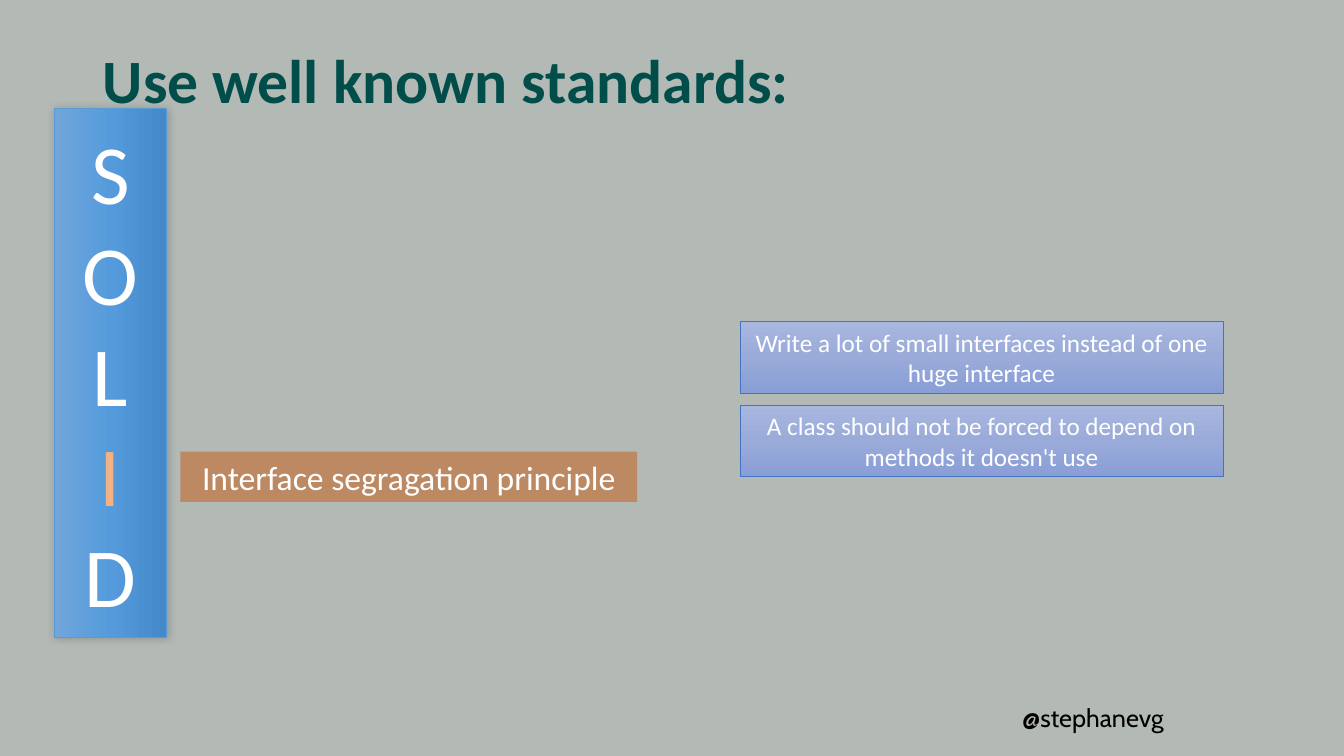
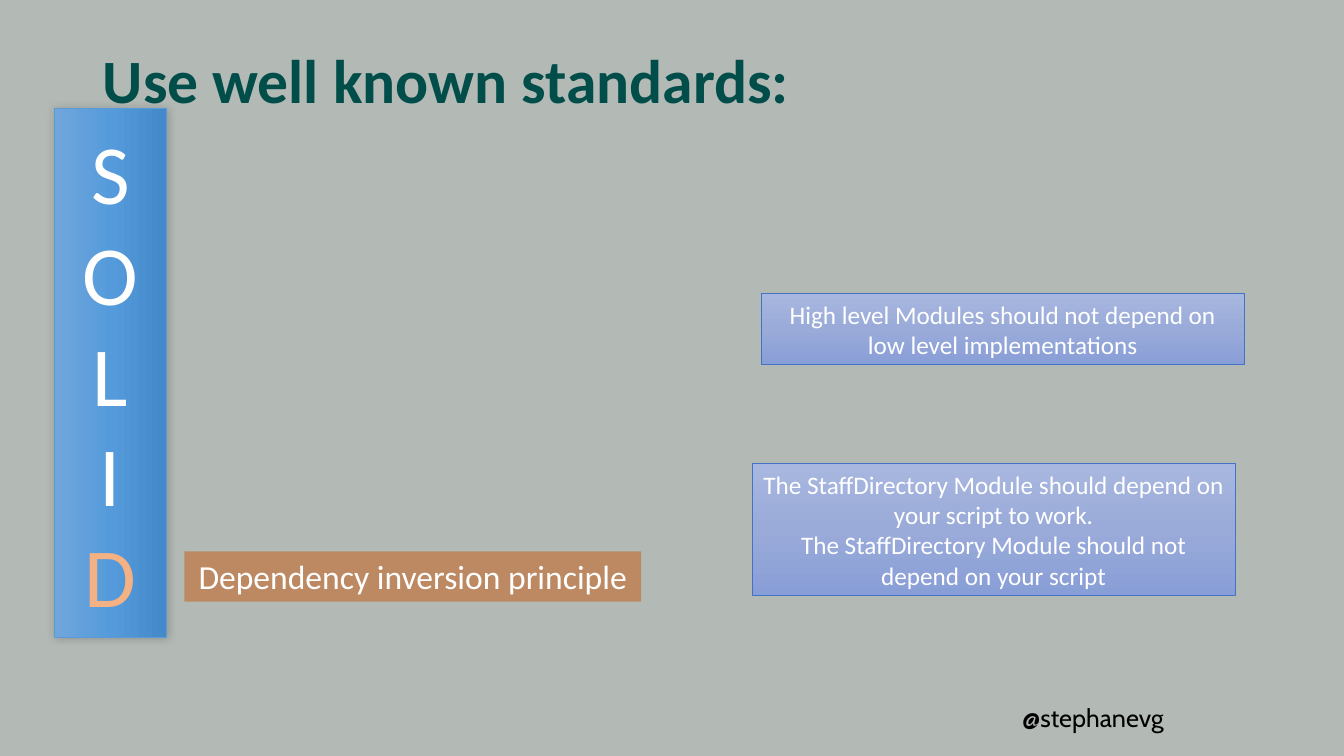
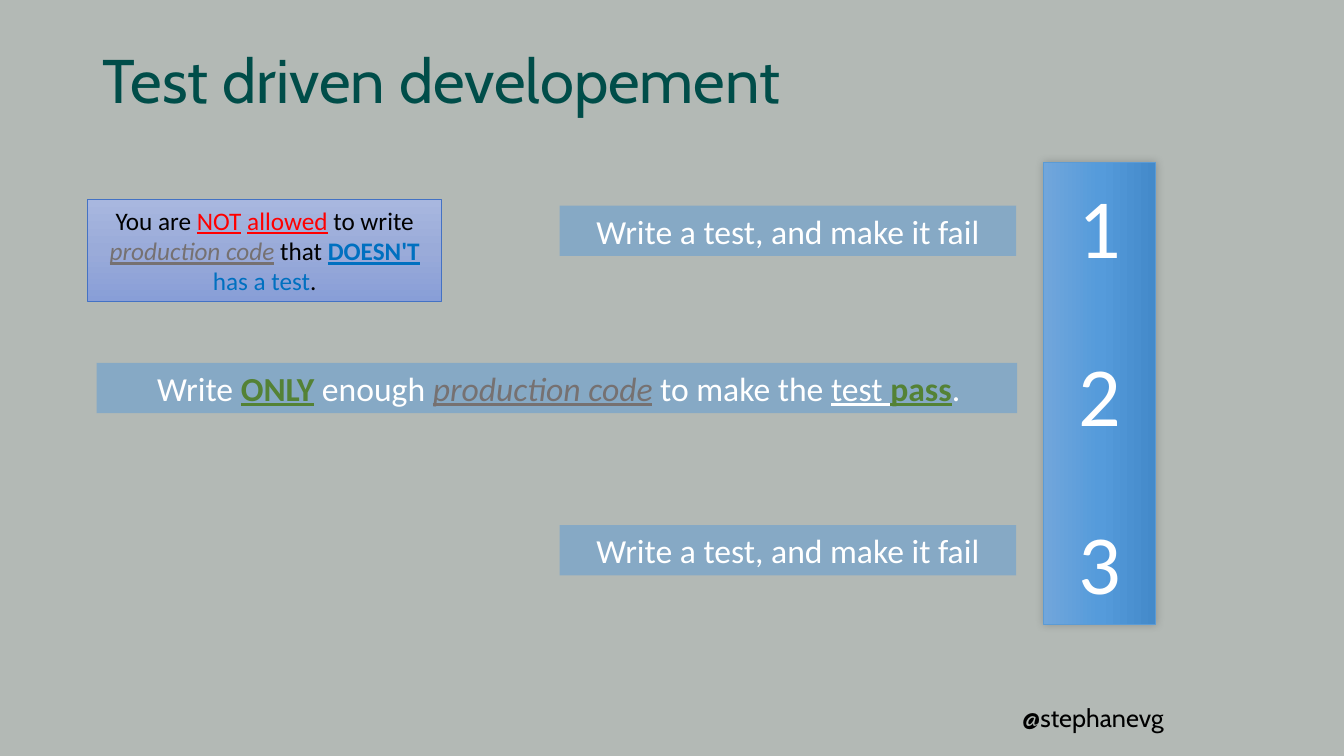
from lxml import etree
from pptx import Presentation
from pptx.dml.color import RGBColor
from pptx.enum.shapes import MSO_SHAPE
from pptx.enum.text import MSO_ANCHOR, PP_ALIGN
from pptx.oxml.ns import qn
from pptx.util import Inches, Pt

RECTANGLE = MSO_SHAPE.RECTANGLE
MIDDLE = MSO_ANCHOR.MIDDLE
LEFT, CENTER = PP_ALIGN.LEFT, PP_ALIGN.CENTER

SAGE = RGBColor(0xB3, 0xB9, 0xB5)
TEAL = RGBColor(0x00, 0x4D, 0x49)
BLACK = RGBColor(0x00, 0x00, 0x00)
WHITE = RGBColor(0xFF, 0xFF, 0xFF)
PEACH = RGBColor(0xF4, 0xB1, 0x83)
RUST = RGBColor(0xC5, 0x5A, 0x11)
SKY = RGBColor(0x5B, 0x9B, 0xD5)
COBALT = RGBColor(0x44, 0x72, 0xC4)
GREEN = RGBColor(0x54, 0x82, 0x35)
GRAY = RGBColor(0x76, 0x71, 0x71)
RED = RGBColor(0xFF, 0x00, 0x00)
BLUE = RGBColor(0x00, 0x70, 0xC0)
COLUMN_STOPS = (RGBColor(0x71, 0xA6, 0xDB), RGBColor(0x55, 0x9B, 0xDB), RGBColor(0x44, 0x8A, 0xCA))
NOTE_STOPS = (RGBColor(0xA8, 0xB7, 0xDF), RGBColor(0x9A, 0xAB, 0xD9), RGBColor(0x88, 0x9E, 0xD7))

BODY_FONT, HEADING_FONT = "Calibri", "Cabin"
TITLE_ONLY = 5
STANDARDS_TITLE = "Use well known standards:"
FAILING_TEST = "Write a test, and make it fail"


def add_text(paragraph, text, size=18, color=WHITE, font=BODY_FONT,
             bold=False, italic=False, underline=False):
    """Append a formatted run to the paragraph."""
    run = paragraph.add_run()
    run.text = text
    run.font.size = Pt(size)
    run.font.name = font
    run.font.color.rgb = color
    run.font.bold = bold
    run.font.italic = italic
    run.font.underline = underline


class Deck:
    """Hold the shared style and the current slide."""

    def __init__(self):
        """Start a wide presentation with the common background."""
        self.presentation = Presentation()
        self.presentation.slide_width = Inches(13.33)
        self.presentation.slide_height = Inches(7.5)
        background = self.presentation.slide_master.background.fill
        background.solid()
        background.fore_color.rgb = SAGE
        self.slide = None

    def new_slide(self, title, font=BODY_FONT, bold=False):
        """Add a slide with its title and the author handle."""
        layout = self.presentation.slide_layouts[TITLE_ONLY]
        self.slide = self.presentation.slides.add_slide(layout)
        heading = self.slide.shapes.title
        heading.left, heading.top = Inches(0.92), Inches(0.4)
        heading.width, heading.height = Inches(11.5), Inches(0.85)
        line = self.fill_frame(heading, [[(title, {"font": font, "bold": bold, "color": TEAL})]],
                               size=44, align=LEFT)
        line.line_spacing = 0.9
        handle = self.slide.shapes.add_textbox(
            Inches(10.04), Inches(6.92), Inches(2.38), Inches(0.4))
        self.fill_frame(handle, [[("@stephanevg", {"font": HEADING_FONT, "color": BLACK})]],
                        align=LEFT)

    def fill_frame(self, shape, lines, size=18, align=CENTER, gap=0):
        """Write lines of (text, format) runs and return the last paragraph."""
        frame = shape.text_frame
        frame.word_wrap = True
        frame.vertical_anchor = MIDDLE
        for index, runs in enumerate(lines):
            paragraph = frame.add_paragraph() if index else frame.paragraphs[0]
            paragraph.alignment = align
            if index and gap:
                paragraph.space_before = Pt(gap)
            for text, style in runs:
                add_text(paragraph, text, size=size, **style)
        return paragraph

    def add_box(self, left, top, width, height):
        """Add a rectangle without shadow."""
        box = self.slide.shapes.add_shape(
            RECTANGLE, Inches(left), Inches(top), Inches(width), Inches(height))
        box.shadow.inherit = False
        return box

    def shade(self, box, stops, angle, outline):
        """Give the box an evenly spaced gradient and a thin outline."""
        box.fill.gradient()
        box.fill.gradient_angle = angle
        stop_list = box._element.spPr.find(".//" + qn("a:gsLst"))
        for old_stop in list(stop_list):
            stop_list.remove(old_stop)
        for index, color in enumerate(stops):
            position = index * 100000 // (len(stops) - 1)
            stop = etree.SubElement(stop_list, qn("a:gs"), pos=str(position))
            etree.SubElement(stop, qn("a:srgbClr"), val=str(color))
        box.line.color.rgb = outline
        box.line.width = Pt(0.5)

    def column(self, left, top, height, marks, accent=None, gap=0):
        """Add a tall bar of large marks, one of them accented."""
        bar = self.add_box(left, top, 1.11, height)
        self.shade(bar, COLUMN_STOPS, 0, SKY)
        effects = bar._element.spPr.find(qn("a:effectLst"))
        shadow = etree.SubElement(effects, qn("a:outerShdw"), blurRad=str(Pt(6)), dist="0")
        tint = etree.SubElement(shadow, qn("a:srgbClr"), val=str(BLACK))
        etree.SubElement(tint, qn("a:alpha"), val="20000")
        lines = [[(mark, {"color": PEACH if mark == accent else WHITE})] for mark in marks]
        self.fill_frame(bar, lines, size=60, gap=gap)

    def label(self, left, top, runs, color=SKY, width=4.53, align=CENTER, inset=0.1):
        """Add a half-transparent band with one line of text."""
        band = self.add_box(left, top, width, 0.5)
        band.fill.solid()
        band.fill.fore_color.rgb = color
        tint = band._element.spPr.find(".//" + qn("a:srgbClr"))
        etree.SubElement(tint, qn("a:alpha"), val="50000")
        band.line.fill.background()
        band.text_frame.margin_left = Inches(inset)
        self.fill_frame(band, [runs], size=24, align=align)

    def note(self, left, top, lines, width=4.79, height=0.71):
        """Add a gradient box with centred explanatory text."""
        box = self.add_box(left, top, width, height)
        self.shade(box, NOTE_STOPS, 270, COBALT)
        self.fill_frame(box, lines)

    def principle(self, accent, left, top, name):
        """Add a standards slide with one SOLID letter explained."""
        self.new_slide(STANDARDS_TITLE, bold=True)
        self.column(0.54, 1.07, 5.25, "SOLID", accent=accent)
        self.label(left, top, [(name, {})], color=RUST)


def main():
    """Build and save the three slides."""
    deck = Deck()

    deck.principle("I", 1.79, 4.48, "Interface segragation principle")
    deck.note(7.34, 3.19, [[("Write a lot of small interfaces instead of one huge interface", {})]])
    deck.note(7.34, 4.02, [[("A class should not be forced to depend on methods it doesn't use", {})]])

    deck.principle("D", 1.83, 5.47, "Dependency inversion principle")
    deck.note(7.55, 2.91, [[("High level Modules should not depend on low level implementations", {})]])
    deck.note(7.46, 4.6, [
        [("The StaffDirectory Module should depend on your script to work.", {})],
        [("The StaffDirectory Module should not depend on your script", {})],
    ], height=1.31)

    deck.new_slide("Test driven developement", font=HEADING_FONT)
    deck.column(10.35, 1.61, 4.58, "123", gap=48)
    for top in (2.04, 5.21):
        deck.label(5.55, top, [(FAILING_TEST, {})])
    plain = {"color": BLACK}
    forbidden = {"color": RED, "underline": True}
    production = {"color": GRAY, "italic": True, "underline": True}
    goal = {"color": GREEN, "bold": True, "underline": True}
    deck.label(0.96, 3.6, [
        ("Write ", {}),
        ("ONLY", goal),
        (" enough ", {}),
        ("production code", production),
        (" to make the ", {}),
        ("test ", {"underline": True}),
        ("pass", goal),
        (".", {}),
    ], width=9.13, align=LEFT, inset=0.6)
    deck.note(0.87, 1.98, [[
        ("You are ", plain),
        ("NOT", forbidden),
        (" ", plain),
        ("allowed", forbidden),
        (" to write ", plain),
        ("production code", production),
        (" that ", plain),
        ("DOESN'T", {"color": BLUE, "bold": True, "underline": True}),
        (" has a test", {"color": BLUE}),
        (".", plain),
    ]], width=3.51, height=1.01)

    deck.presentation.save("out.pptx")


if __name__ == "__main__":
    main()
